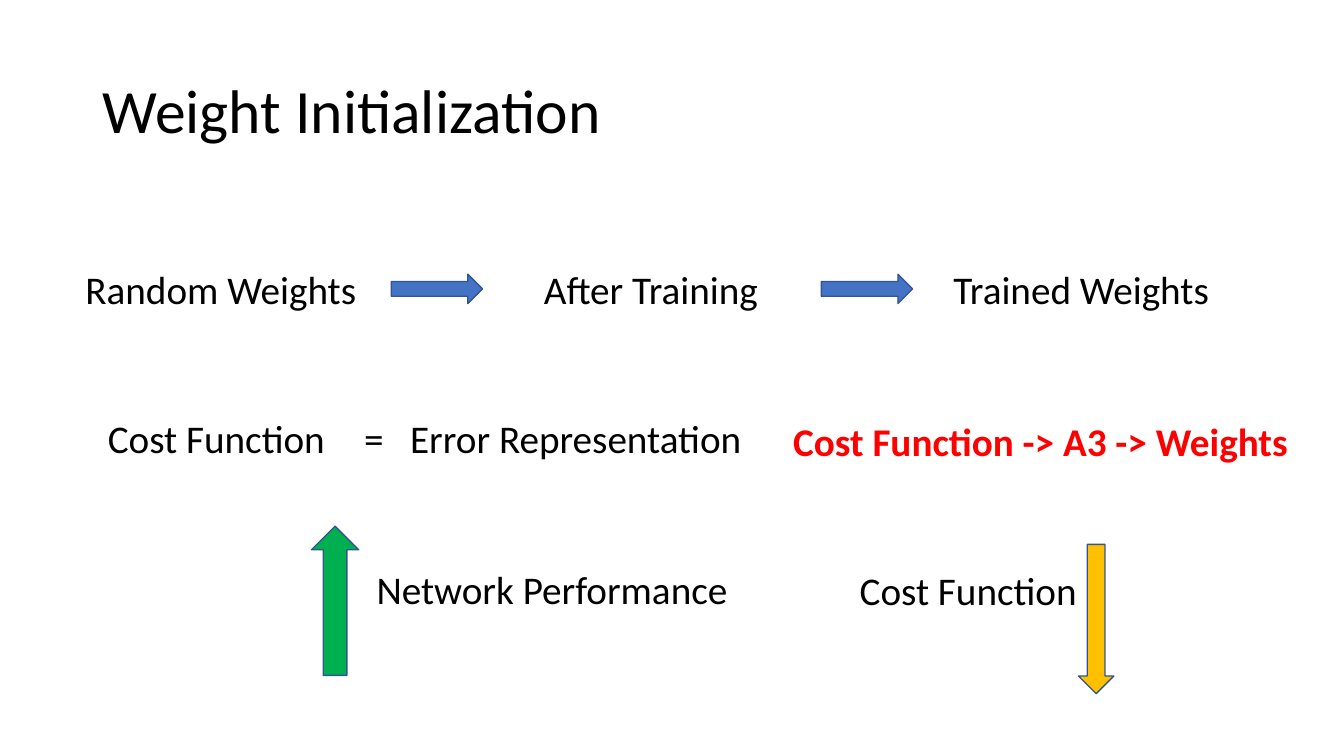
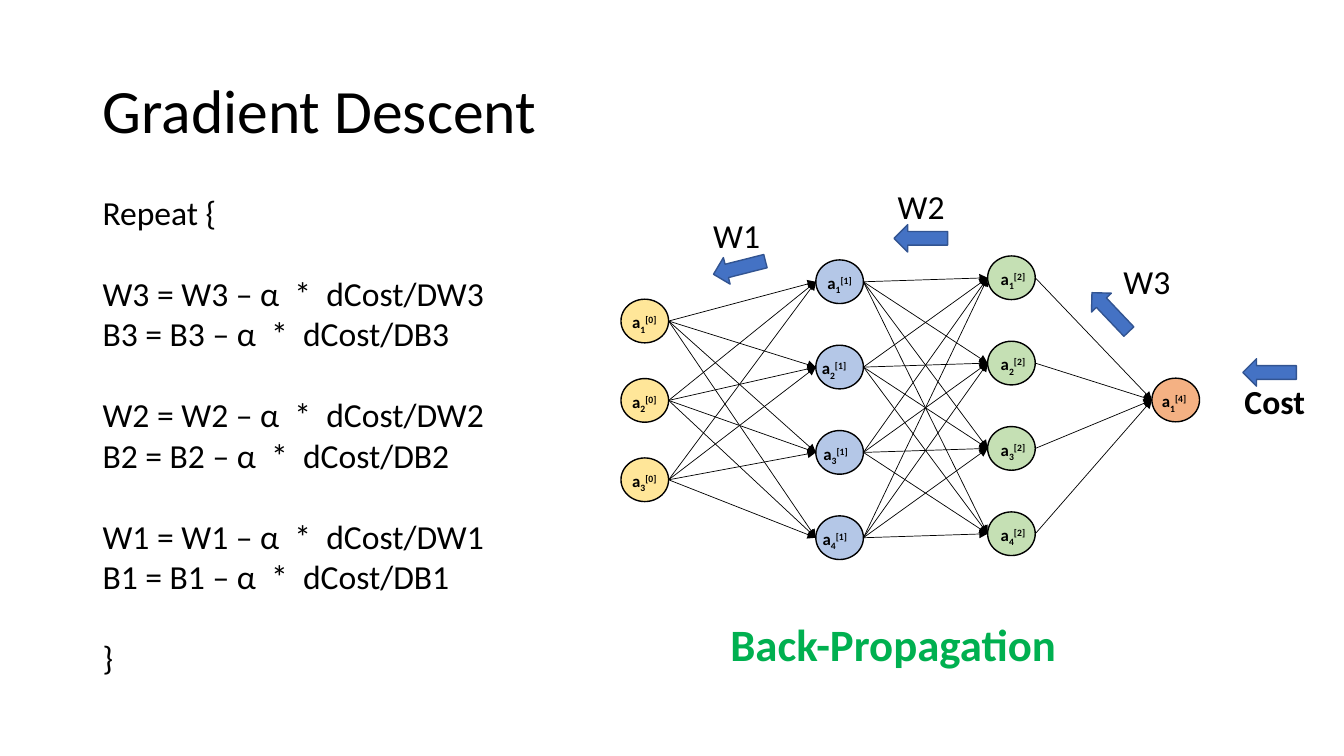
from dataclasses import dataclass
from itertools import pairwise, product
from typing import NamedTuple

import pptx
import pptx.dml.color
import pptx.enum.shapes
import pptx.enum.text
import pptx.oxml.ns
import pptx.oxml.xmlchemy
import pptx.presentation
import pptx.shapes.autoshape
import pptx.slide
import pptx.text.text
import pptx.util

Cm = pptx.util.Cm
Pt = pptx.util.Pt
Color = pptx.dml.color.RGBColor
Preset = pptx.enum.shapes.MSO_SHAPE
Align = pptx.enum.text.PP_ALIGN
Slide = pptx.slide.Slide
Paragraph = pptx.text.text._Paragraph
new_element = pptx.oxml.xmlchemy.OxmlElement


# Theme
@dataclass(frozen=True)
class Theme:
    font: str = "Calibri"
    ink: Color = Color(0x00, 0x00, 0x00)
    blue: Color = Color(0x44, 0x72, 0xC4)
    outline: Color = Color(0x32, 0x54, 0x91)
    green: Color = Color(0x00, 0xB0, 0x50)
    amber: Color = Color(0xFF, 0xC0, 0x00)
    red: Color = Color(0xFF, 0x00, 0x00)
    input_fill: Color = Color(0xFF, 0xE6, 0x99)
    hidden_fill: Color = Color(0xB4, 0xC7, 0xE7)
    second_fill: Color = Color(0xC5, 0xE0, 0xB4)
    output_fill: Color = Color(0xF4, 0xB1, 0x83)
    title_size: float = 44
    heading_size: float = 32
    label_size: float = 28
    body_size: float = 24
    node_size: float = 12


THEME = Theme()


# Repeated elements, lengths in centimetres
class Frame(NamedTuple):
    left: float
    top: float
    width: float
    height: float

    def lengths(self) -> tuple[pptx.util.Length, ...]:
        return tuple(Cm(value) for value in self)


@dataclass(frozen=True)
class Label:
    text: str
    frame: Frame
    size: float = THEME.label_size
    color: Color = THEME.ink
    bold: bool = False
    align: Align = Align.CENTER
    gap: float = 0  # extra points after a lone space


@dataclass(frozen=True)
class Block:
    preset: Preset
    frame: Frame
    fill: Color = THEME.blue
    line: Color = THEME.outline
    rotation: float = 0


@dataclass(frozen=True)
class Layer:
    number: int
    left: float
    top: float
    step: float
    fill: Color
    label_shifts: tuple[float, ...]  # one per node

    def nodes(self) -> list[Frame]:
        return [Frame(self.left, self.top + row * self.step, NODE_WIDTH, NODE_HEIGHT)
                for row in range(len(self.label_shifts))]


TITLE_FRAME = Frame(2.33, 1.01, 29.21, 3.68)
NODE_WIDTH, NODE_HEIGHT = 1.2, 1.1

# Weight initialization content
STAGES = ("Random Weights", "After Training", "Trained Weights")
STAGE_STEP = 10.84
STAGE_WIDTH, WIDE, LABEL_HEIGHT = 7.57, 11.46, 1.45
INIT_LABELS = (
    Label("Cost Function ", Frame(1.78, 10.31, STAGE_WIDTH, LABEL_HEIGHT)),
    Label("=| |Error Representation", Frame(8.2, 10.31, WIDE, LABEL_HEIGHT), gap=12.6),
    Label("Network Performance", Frame(8.18, 14.12, WIDE, LABEL_HEIGHT)),
    Label("Cost Function", Frame(18.67, 14.15, WIDE, LABEL_HEIGHT)),
    Label("Cost Function -> A3 -> Weights", Frame(19.74, 10.39, 13.87, LABEL_HEIGHT),
          color=THEME.red, bold=True, align=Align.LEFT),
)
TREND_ARROWS = (
    Block(Preset.UP_ARROW, Frame(7.85, 13.26, 1.19, 3.76), THEME.green),
    Block(Preset.DOWN_ARROW, Frame(27.18, 13.72, 0.89, 3.76), THEME.amber),
)

# Gradient descent content
LAYERS = (
    Layer(0, 15.65, 7.54, 2.0, THEME.input_fill, (0.03,) * 3),
    Layer(1, 20.56, 6.55, 2.15, THEME.hidden_fill, (0.04, -0.1, -0.06, -0.08)),
    Layer(2, 24.89, 6.45, 2.15, THEME.second_fill, (0.08,) * 4),
    Layer(4, 29.03, 9.53, 0, THEME.output_fill, (0,)),
)
GRADIENT_LABELS = (
    Label("W1", Frame(17.22, 5.28, 2.69, 1.27), THEME.body_size),
    Label("W2", Frame(21.87, 4.57, 2.69, 1.27), THEME.body_size),
    Label("W3", Frame(27.56, 6.45, 2.69, 1.27), THEME.body_size),
    Label("Cost", Frame(31.06, 9.47, 2.13, 1.27), THEME.body_size, bold=True),
    Label("Back-Propagation", Frame(16.84, 15.42, 11.35, 1.63),
          THEME.heading_size, THEME.green, True),
)
BACKWARD_ARROWS = tuple(
    Block(Preset.RIGHT_ARROW, Frame(left, top, 1.35, 0.69), rotation=rotation)
    for left, top, rotation in (
        (17.96, 6.4, 165.8), (22.53, 5.66, 180), (27.31, 7.52, 226.5), (31.32, 9.04, 180))
)


# Drawing helpers
def style_font(font: pptx.text.text.Font, size: float, color: Color = THEME.ink,
               bold: bool = False) -> None:
    font.name = THEME.font
    font.size = Pt(size)
    font.bold = bold
    font.color.rgb = color


def fill_para(para: Paragraph, pieces: list[str], size: float, color: Color = THEME.ink,
              bold: bool = False, gap: float = 0) -> None:
    """Write the pieces as runs; a lone space is widened by gap points."""
    for piece in pieces:
        span = para.add_run()
        span.text = piece
        style_font(span.font, size, color, bold)
        if piece == " ":
            span._r.get_or_add_rPr().set("spc", str(round(gap * 100)))


def add_label(page: Slide, label: Label) -> None:
    box = page.shapes.add_textbox(*label.frame.lengths())
    box.text_frame.word_wrap = True
    para = box.text_frame.paragraphs[0]
    para.alignment = label.align
    fill_para(para, label.text.split("|"), label.size, label.color, label.bold, label.gap)


def add_block(page: Slide, block: Block) -> None:
    shape = page.shapes.add_shape(block.preset, *block.frame.lengths())
    shape.shadow.inherit = False
    shape.fill.solid()
    shape.fill.fore_color.rgb = block.fill
    shape.line.color.rgb = block.line
    shape.line.width = Pt(1)
    shape.rotation = block.rotation


def add_link(page: Slide, source: Frame, target: Frame) -> None:
    link = page.shapes.add_connector(
        pptx.enum.shapes.MSO_CONNECTOR.STRAIGHT,
        Cm(source.left + source.width), Cm(source.top + source.height / 2),
        Cm(target.left), Cm(target.top + target.height / 2))
    link.line.color.rgb = THEME.ink
    link.line.width = Pt(0.5)
    properties = link._element.spPr
    head = new_element("a:tailEnd")
    head.set("type", "triangle")
    properties.find(pptx.oxml.ns.qn("a:ln")).append(head)
    properties.append(new_element("a:effectLst"))


def add_node_label(page: Slide, node: Frame, shift: float, row: int, layer: int) -> None:
    frame = Frame(node.left + shift, node.top + 0.2, NODE_WIDTH, 0.76)
    box = page.shapes.add_textbox(*frame.lengths())
    box.text_frame.word_wrap = True
    box.text_frame.margin_right = 0
    para = box.text_frame.paragraphs[0]
    fill_para(para, ["a", str(row), f"[{layer}]"], THEME.node_size, bold=True)
    for span, baseline in zip(para.runs[1:], (-25000, 30000)):
        span._r.get_or_add_rPr().set("baseline", str(baseline))


def place(shape: pptx.shapes.autoshape.Shape, frame: Frame) -> None:
    shape.left, shape.top, shape.width, shape.height = frame.lengths()
    shape.text_frame.auto_size = pptx.enum.text.MSO_AUTO_SIZE.NONE


def add_page(deck: pptx.presentation.Presentation, layout: int, title: str) -> Slide:
    page = deck.slides.add_slide(deck.slide_layouts[layout])
    heading = page.shapes.title
    place(heading, TITLE_FRAME)
    heading.text_frame.vertical_anchor = pptx.enum.text.MSO_ANCHOR.MIDDLE
    heading.text_frame.text = title
    para = heading.text_frame.paragraphs[0]
    para.alignment = Align.LEFT
    para.line_spacing = 0.9
    style_font(para.runs[0].font, THEME.title_size)
    return page


# Slides
def build_initialization(deck: pptx.presentation.Presentation) -> None:
    page = add_page(deck, 5, "Weight Initialization")
    for column, stage in enumerate(STAGES):
        offset = column * STAGE_STEP
        add_label(page, Label(stage, Frame(1.78 + offset, 6.55, STAGE_WIDTH, LABEL_HEIGHT)))
        if column < len(STAGES) - 1:
            add_block(page, Block(Preset.RIGHT_ARROW, Frame(9.86 + offset, 6.91, 2.3, 0.74)))
    for label in INIT_LABELS:
        add_label(page, label)
    for arrow in TREND_ARROWS:
        add_block(page, arrow)


def add_update_rules(page: Slide) -> None:
    body = page.placeholders[1]
    place(body, Frame(2.33, 4.7, 12.01, 12.57))
    rules = [[f"{name} = {name} – α", " ", "*", " ", f"dCost/D{name}"]
             for name in ("W3", "B3", "W2", "B2", "W1", "B1")]
    lines = [["Repeat {"], *rules, ["}"]]
    for index, pieces in enumerate(lines):
        frame = body.text_frame
        para = frame.add_paragraph() if index else frame.paragraphs[0]
        fill_para(para, pieces, THEME.body_size, gap=5.4)
        para.line_spacing = 1.0
        para.space_before = Pt(29.2 if index % 2 else 0)  # a gap above each pair
        properties = para._p.get_or_add_pPr()
        properties.set("marL", "0")
        properties.set("indent", "0")
        properties.append(new_element("a:buNone"))


def add_network(page: Slide) -> None:
    for layer in LAYERS:
        for node in layer.nodes():
            add_block(page, Block(Preset.OVAL, node, layer.fill, THEME.ink))
    for before, after in pairwise(LAYERS):
        for source, target in product(before.nodes(), after.nodes()):
            add_link(page, source, target)
    for layer in LAYERS:
        for row, (node, shift) in enumerate(zip(layer.nodes(), layer.label_shifts), 1):
            add_node_label(page, node, shift, row, layer.number)


def build_gradient_descent(deck: pptx.presentation.Presentation) -> None:
    page = add_page(deck, 1, "Gradient Descent")
    add_update_rules(page)
    add_network(page)
    for arrow in BACKWARD_ARROWS:
        add_block(page, arrow)
    for label in GRADIENT_LABELS:
        add_label(page, label)


def main() -> None:
    deck = pptx.Presentation()
    deck.slide_width, deck.slide_height = Cm(33.87), Cm(19.05)
    build_initialization(deck)
    build_gradient_descent(deck)
    deck.save("out.pptx")


if __name__ == "__main__":
    main()
